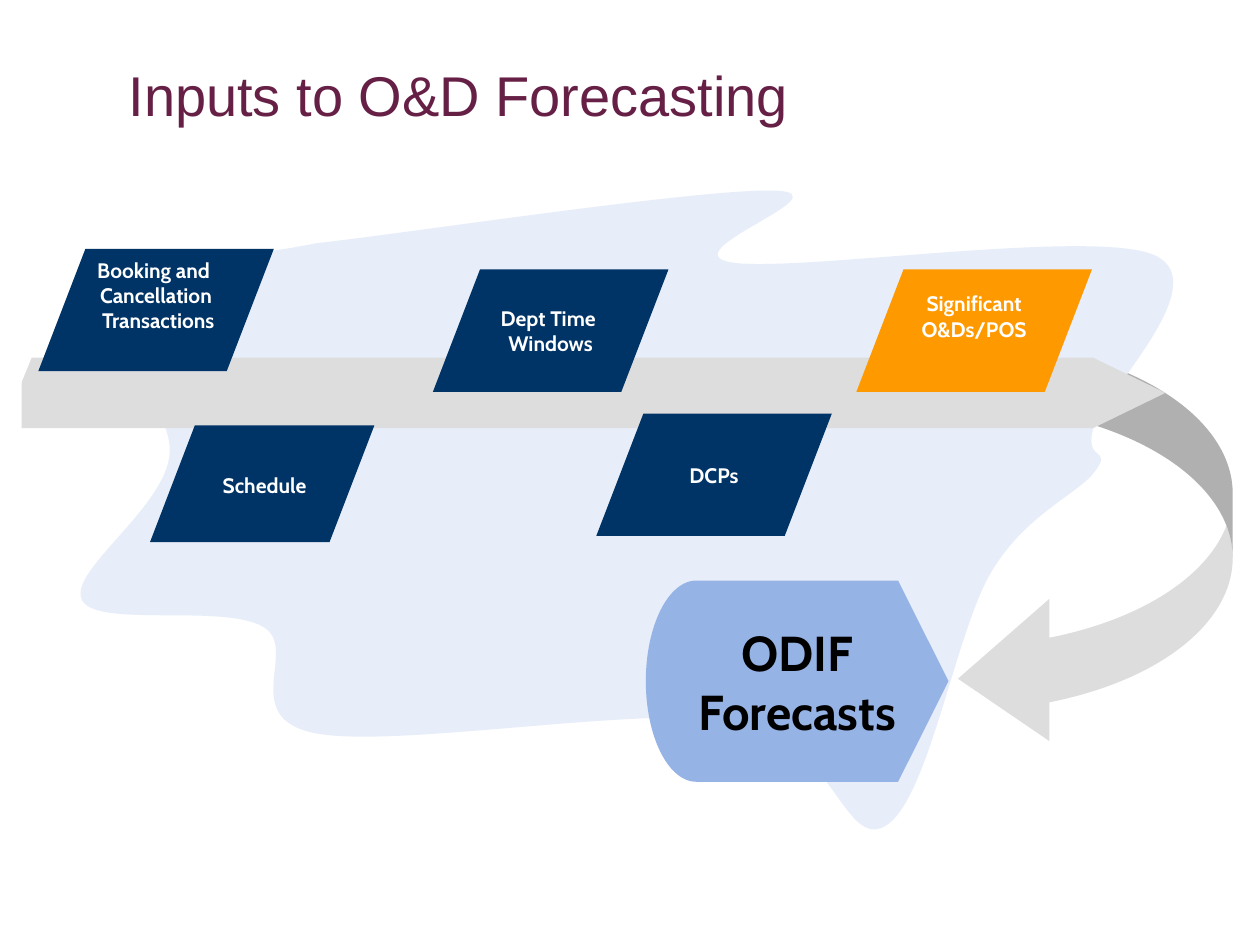
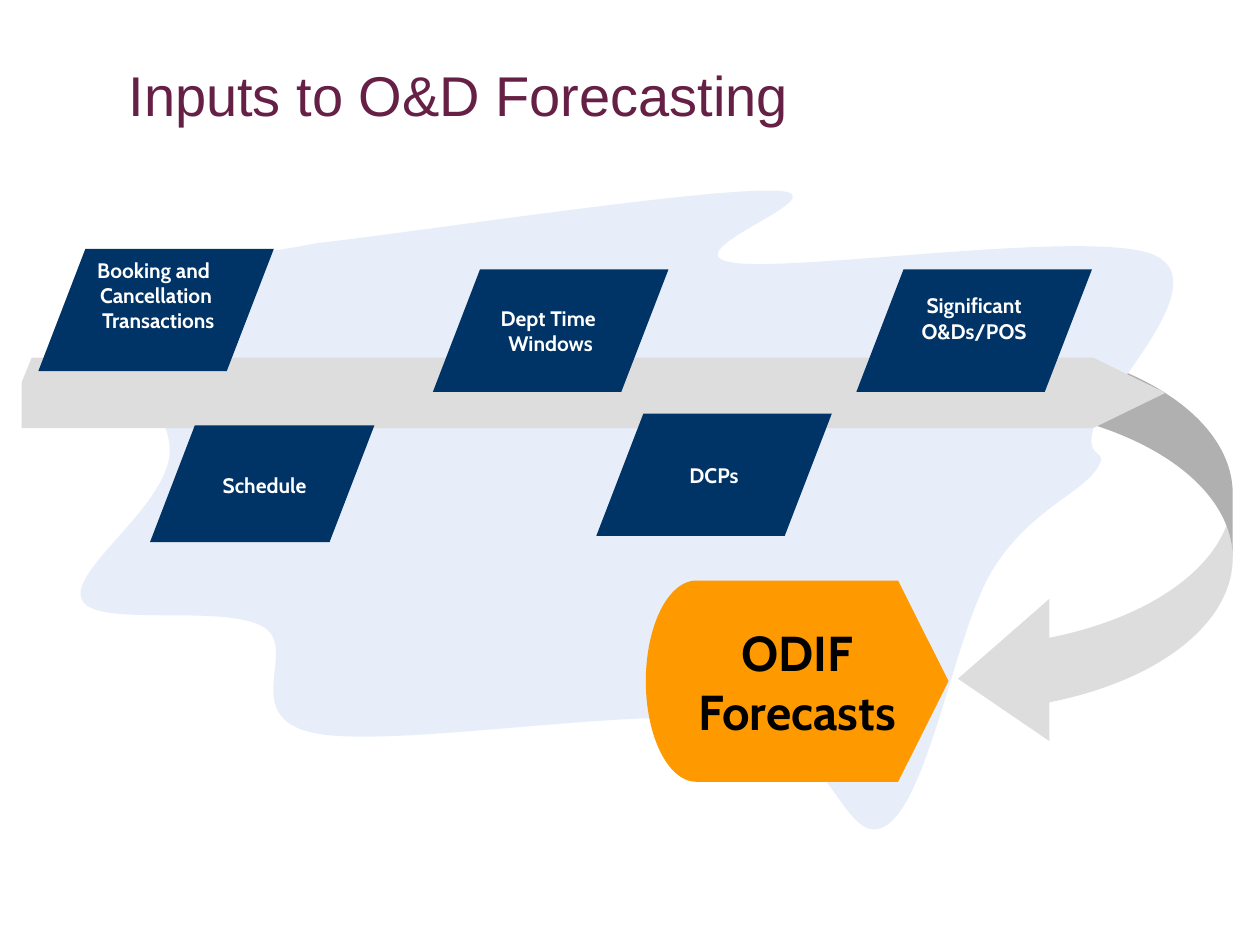
import lxml.etree
import pptx
import pptx.dml.color
import pptx.enum.shapes
import pptx.enum.text
import pptx.oxml.ns
import pptx.util

Pt = pptx.util.Pt
qn = pptx.oxml.ns.qn
SHAPE = pptx.enum.shapes.MSO_SHAPE
ANCHOR = pptx.enum.text.MSO_ANCHOR
ALIGN = pptx.enum.text.PP_ALIGN

PLUM, NAVY, ORANGE = "662046", "003366", "FF9900"
PALE_BLUE, MID_BLUE, GREY = "E7EDF9", "96B3E6", "DDDDDD"
WHITE, BLACK = "FFFFFF", "000000"
LABEL_FONT = "Cabin"
INSET = 3.6

# Cubic curves: a start point, then two control points and an end point each.
CLOUD_CURVES = [
    (143, 32),
    (63, 48), (35, 33), (21, 53),
    (7, 72), (61, 122), (59, 152),
    (57, 183), (0, 220), (9, 236),
    (17, 252), (89, 238), (112, 251),
    (134, 263), (97, 303), (142, 312),
    (187, 321), (329, 296), (383, 305),
    (438, 314), (444, 379), (468, 365),
    (493, 350), (508, 253), (529, 219),
    (549, 186), (579, 175), (588, 162),
    (598, 148), (581, 158), (587, 137),
    (593, 117), (657, 55), (622, 39),
    (588, 23), (416, 49), (380, 43),
    (344, 37), (445, 4), (406, 2),
    (367, 0), (197, 26), (143, 32),
]

# Label, box, and space kept free below the text; Significant varies by slide.
INPUTS = [
    (" Schedule", (85.75, 243, 128.25, 66.75), -2),
    ("Booking and \nCancellation\n Transactions", (21.9, 142.25, 134.6, 69.9), 17),
    ("DCPs", (340.75, 236.4, 134.6, 69.9), 0),
]
DEPT_TIME = ("Dept Time \nWindows", (247.4, 154, 134.6, 69.9), 0)
SIGNIFICANT_BOX = (489.4, 154, 134.6, 69.9)


def color(hex_code):
    return pptx.dml.color.RGBColor.from_string(hex_code)


def paint(shape, fill):
    shape.shadow.inherit = False
    shape.fill.solid()
    shape.fill.fore_color.rgb = color(fill)
    shape.line.fill.background()
    return shape


def add_preset(shapes, preset, box, fill, adjustments=()):
    shape = shapes.add_shape(preset, *map(Pt, box))
    for index, value in enumerate(adjustments):
        shape.adjustments[index] = value
    return paint(shape, fill)


def add_outline(shapes, points, left, top, fill):
    """Draw a closed outline whose points are relative to left and top."""
    start, *rest = [(Pt(x), Pt(y)) for x, y in points]
    builder = shapes.build_freeform(*start)
    builder.add_line_segments(rest, close=True)
    return paint(builder.convert_to_shape(Pt(left), Pt(top)), fill)


def bend_outline(shape):
    """Turn each three line segments of an outline into one cubic curve."""
    segments = list(shape._element.iter(qn("a:lnTo")))
    for first in range(0, len(segments), 3):
        trio = segments[first:first + 3]
        curve = lxml.etree.Element(qn("a:cubicBezTo"))
        trio[0].addprevious(curve)
        for segment in trio:
            curve.append(segment[0])
            segment.getparent().remove(segment)


def write_label(shape, text, size, ink):
    frame = shape.text_frame
    frame.word_wrap = False
    frame.vertical_anchor = ANCHOR.MIDDLE
    frame.text = text
    for paragraph in frame.paragraphs:
        paragraph.alignment = ALIGN.CENTER
        paragraph.font.name = LABEL_FONT
        paragraph.font.size = Pt(size)
        paragraph.font.bold = True
        paragraph.font.color.rgb = color(ink)


def add_title(slide, box, text):
    title = slide.shapes.title
    title.left, title.top, title.width, title.height = map(Pt, box)
    title.text_frame.text = text
    title.text_frame.vertical_anchor = ANCHOR.MIDDLE
    paragraph = title.text_frame.paragraphs[0]
    paragraph.alignment = ALIGN.LEFT
    paragraph.font.name = "Arial"
    paragraph.font.size = Pt(32)
    paragraph.font.color.rgb = color(PLUM)


def add_band(slide, box):
    """Draw the long arrow band with its upper left corner cut off."""
    left, top, _, _ = box
    band = slide.shapes.add_group_shape()
    add_preset(band.shapes, SHAPE.PENTAGON, box, GREY, [1.027])
    corner = [(6.5, -2), (-1.5, 17.5), (-1.5, -0.5)]
    add_outline(band.shapes, corner, left, top, WHITE)


def add_input(slide, text, box, space_below, fill=NAVY):
    card = add_preset(slide.shapes, SHAPE.FLOWCHART_DATA, box, fill)
    write_label(card, text, 12, WHITE)
    card.text_frame.margin_bottom = Pt(INSET + space_below)


def add_forecasts(slide, box, fill):
    """Draw the result shape, turned to point right with upright text."""
    forecasts = add_preset(slide.shapes, SHAPE.FLOWCHART_DISPLAY, box, fill)
    forecasts.rotation = 180
    write_label(forecasts, "ODIF\vForecasts", 28, BLACK)
    forecasts.text_frame._txBody.bodyPr.set("rot", "10800000")


def add_forecasting_slide(deck, significant_fill, significant_space, forecasts_fill):
    slide = deck.slides.add_slide(deck.slide_layouts[5])
    add_title(slide, (66.25, 29.75, 527.75, 48.25), "Inputs to O&D Forecasting")
    add_preset(slide.shapes, SHAPE.CURVED_LEFT_ARROW, (547.4, 194.5, 157, 234),
               GREY, [0.235, 0.518, 0.333])
    bend_outline(add_outline(slide.shapes, CLOUD_CURVES, 38, 107, PALE_BLUE))
    add_band(slide, (12.4, 204.4, 653.6, 40.25))
    significant = ("Significant\nO&Ds/POS", SIGNIFICANT_BOX,
                   significant_space, significant_fill)
    for card in [*INPUTS, significant, DEPT_TIME]:
        add_input(slide, *card)
    add_forecasts(slide, (369, 331.75, 173, 115), forecasts_fill)


def main():
    deck = pptx.Presentation()
    deck.slide_width, deck.slide_height = Pt(720), Pt(540)
    add_forecasting_slide(deck, ORANGE, 16.5, MID_BLUE)
    add_forecasting_slide(deck, NAVY, 14.3, ORANGE)
    deck.save("out.pptx")


if __name__ == "__main__":
    main()
